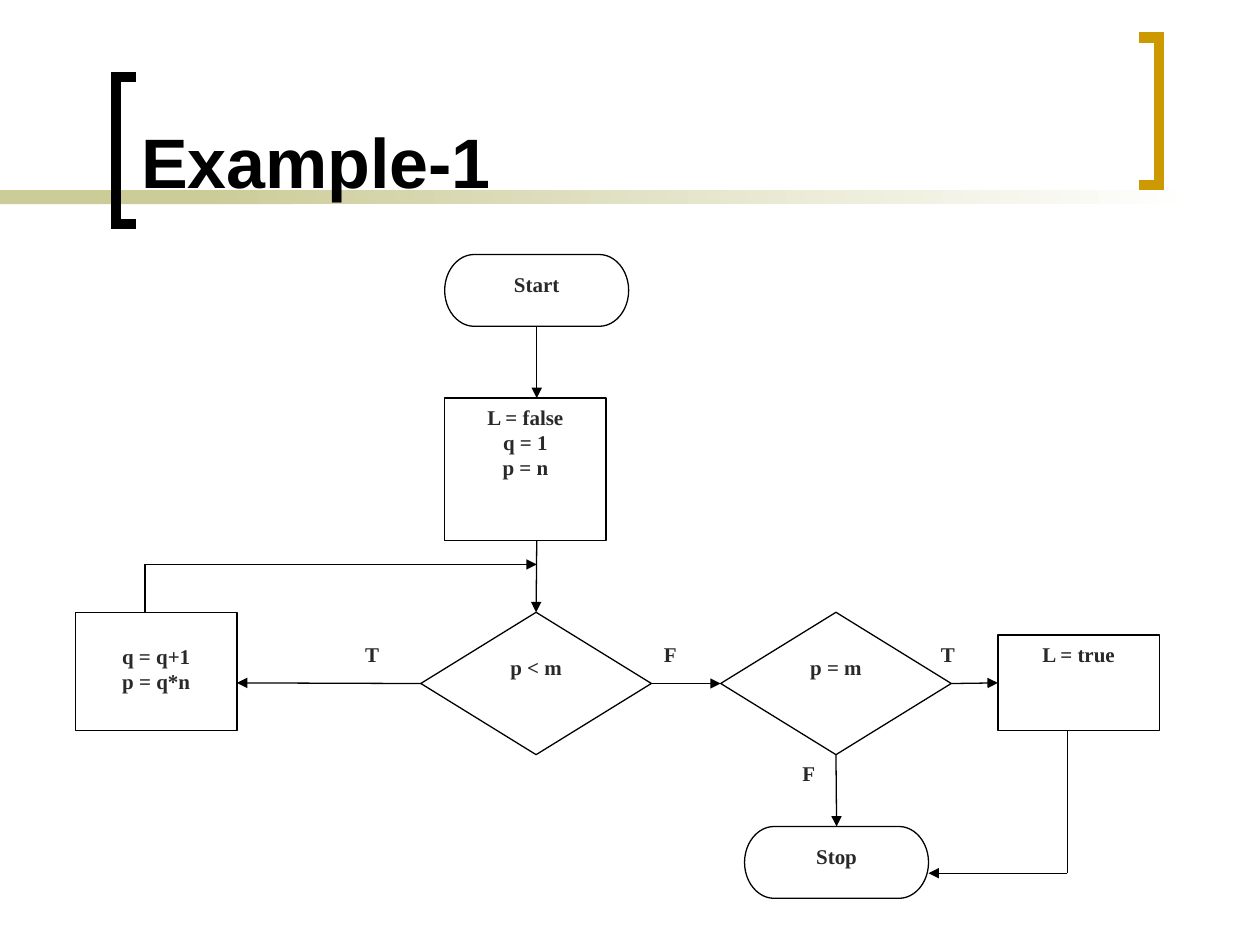
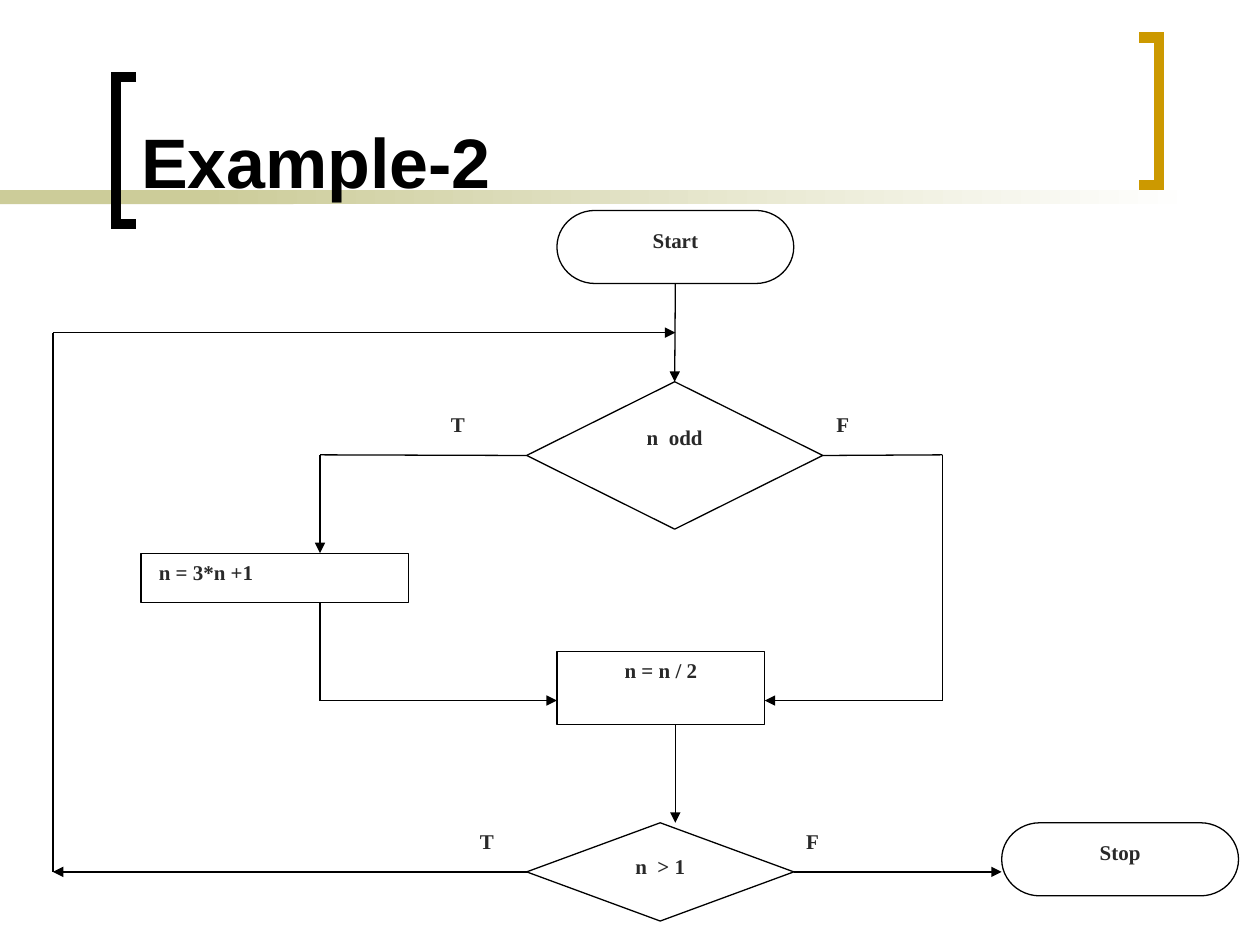
"""Build two flowchart slides that share a bracketed title design."""
from dataclasses import dataclass
from itertools import pairwise
from typing import Any

from lxml import etree
from pptx import Presentation
from pptx import util as u
from pptx.dml.color import RGBColor
from pptx.enum import shapes as kinds
from pptx.enum import text as t
from pptx.oxml.ns import qn

BLACK, WHITE, INK = "000000", "FFFFFF", "292929"
SAND, GOLD = "CCCC99", "CC9900"
TITLE_FONT = {"name": "Arial", "size": u.Pt(40), "bold": True}
BODY_FONT = {"name": "Times New Roman", "size": u.Pt(12), "bold": True}
TERMINATOR = kinds.MSO_SHAPE.FLOWCHART_TERMINATOR
PROCESS = kinds.MSO_SHAPE.FLOWCHART_PROCESS
DECISION = kinds.MSO_SHAPE.FLOWCHART_DECISION
CENTER, LEFT = t.PP_ALIGN.CENTER, t.PP_ALIGN.LEFT
JOIN_TOLERANCE = u.Inches(0.02)
Point = tuple[float, float]
Box = tuple[float, float, float, float]


@dataclass(frozen=True)
class Node:
    """A flowchart symbol with its text."""
    kind: Any
    box: Box
    text: str
    align: Any = CENTER
    left_inset: float = 0.1
    top_inset: float = 0.05


@dataclass(frozen=True)
class Label:
    """A branch label beside a decision."""
    box: Box
    text: str


@dataclass(frozen=True)
class Route:
    """A path of straight segments, with an arrowhead at its end."""
    points: tuple[Point, ...]
    arrow: bool = True


@dataclass(frozen=True)
class Flowchart:
    """All the content of one slide."""
    title: str
    nodes: tuple[Node, ...]
    labels: tuple[Label, ...]
    routes: tuple[Route, ...]


CHARTS = (
    Flowchart(
        "Example-1",
        (
            Node(TERMINATOR, (3.53, 2.02, 1.46, 0.57), "Start"),
            Node(PROCESS, (3.53, 3.16, 1.28, 1.13), "L = false\nq = 1\np = n"),
            Node(DECISION, (3.34, 4.86, 1.83, 1.13), "p < m"),
            Node(PROCESS, (0.6, 4.86, 1.28, 0.94), "q = q+1\np = q*n", top_inset=0.25),
            Node(DECISION, (5.72, 4.86, 1.83, 1.13), "p = m"),
            Node(PROCESS, (7.92, 5.04, 1.28, 0.76), "L = true"),
            Node(TERMINATOR, (5.91, 6.56, 1.46, 0.57), "Stop"),
        ),
        (
            Label((2.8, 5.04, 0.37, 0.57), "T"),
            Label((5.17, 5.04, 0.55, 0.38), "F"),
            Label((6.27, 5.99, 0.37, 0.57), "F"),
            Label((7.37, 5.04, 0.37, 0.57), "T"),
        ),
        (
            Route(((4.26, 2.59), (4.26, 3.16))),
            Route(((4.26, 4.29), (4.26, 4.86))),
            Route(((3.34, 5.42), (1.88, 5.42))),
            Route(((1.15, 4.86), (1.15, 4.48), (4.26, 4.48))),
            Route(((5.17, 5.42), (5.72, 5.42))),
            Route(((6.64, 5.99), (6.64, 6.56))),
            Route(((7.55, 5.42), (7.92, 5.42))),
            Route(((8.47, 5.8), (8.47, 6.93), (7.37, 6.93))),
        ),
    ),
    Flowchart(
        "Example-2",
        (
            Node(TERMINATOR, (4.42, 1.67, 1.88, 0.58), "Start"),
            Node(DECISION, (4.18, 3.03, 2.35, 1.17), "n  odd"),
            Node(PROCESS, (1.12, 4.39, 2.12, 0.39), "n = 3*n +1", LEFT, 0.14),
            Node(PROCESS, (4.42, 5.17, 1.65, 0.58), "n = n / 2"),
            Node(DECISION, (4.18, 6.53, 2.12, 0.78), "n  > 1"),
            Node(TERMINATOR, (7.95, 6.53, 1.88, 0.58), "Stop"),
        ),
        (
            Label((3.48, 3.22, 0.47, 0.58), "T"),
            Label((6.54, 3.22, 0.71, 0.39), "F"),
            Label((3.71, 6.53, 0.71, 0.39), "T"),
            Label((6.3, 6.53, 0.71, 0.39), "F"),
        ),
        (
            Route(((5.36, 2.25), (5.36, 3.03))),
            Route(((4.18, 3.61), (2.54, 3.61), (2.54, 4.39))),
            Route(((2.54, 4.78), (2.54, 5.56), (4.42, 5.56))),
            Route(((6.53, 3.61), (7.48, 3.61), (7.48, 5.56), (6.07, 5.56))),
            Route(((5.36, 5.75), (5.36, 6.53))),
            Route(((6.3, 6.92), (7.95, 6.92))),
            Route(((4.18, 6.92), (0.42, 6.92))),
            Route(((0.42, 6.92), (0.42, 2.64), (5.36, 2.64))),
        ),
    ),
)


def color(value: str) -> RGBColor:
    """Turn a hex string into a colour."""
    return RGBColor.from_string(value)


def inches(values: tuple[float, ...]) -> list[u.Length]:
    """Turn numbers into lengths."""
    return [u.Inches(value) for value in values]


def set_all(target: Any, values: dict[str, Any]) -> None:
    """Set every named attribute on the target."""
    for name, value in values.items():
        setattr(target, name, value)


def set_line(shape: Any, value: str, width: float) -> None:
    """Give a shape or connector a solid line."""
    shape.line.color.rgb = color(value)
    shape.line.width = u.Pt(width)


def write(shape: Any, content: str, font: dict[str, Any], ink: str, align: Any = LEFT,
          anchor: Any = t.MSO_ANCHOR.TOP, left: float = 0.1, top: float = 0.05) -> None:
    """Fill a shape with formatted paragraphs."""
    frame = shape.text_frame
    frame.text = content
    set_all(frame, {
        "word_wrap": True, "auto_size": t.MSO_AUTO_SIZE.NONE, "vertical_anchor": anchor,
        "margin_left": u.Inches(left), "margin_top": u.Inches(top),
        "margin_right": u.Inches(0.1), "margin_bottom": u.Inches(0.05),
    })
    for paragraph in frame.paragraphs:
        paragraph.alignment = align
        set_all(paragraph.font, font)
        paragraph.font.color.rgb = color(ink)


def add_band(slide: Any, box: Box, fades: bool) -> None:
    """Draw one part of the band under the title."""
    band = slide.shapes.add_shape(kinds.MSO_SHAPE.RECTANGLE, *inches(box))
    band.shadow.inherit = False
    band.line.fill.background()
    if not fades:
        band.fill.solid()
        band.fill.fore_color.rgb = color(SAND)
        return
    band.fill.gradient()
    band.fill.gradient_angle = 0
    for stop, value, position in zip(band.fill.gradient_stops, (SAND, WHITE), (0, 1)):
        stop.color.rgb = color(value)
        stop.position = position


def add_bracket(slide: Any, open_x: float, spine_x: float, top: float, value: str) -> None:
    """Draw a square bracket from its open side and its spine."""
    bottom = top + 1.17
    corners = [(open_x, top), (spine_x, top), (spine_x, bottom), (open_x, bottom)]
    start, *rest = [tuple(inches(corner)) for corner in corners]
    builder = slide.shapes.build_freeform(*start)
    builder.add_line_segments(rest, close=False)
    bracket = builder.convert_to_shape()
    bracket.shadow.inherit = False
    bracket.fill.background()
    set_line(bracket, value, 6)
    etree.SubElement(bracket.line._get_or_add_ln(), qn("a:miter"), lim="800000")


def add_frame(slide: Any, heading: str) -> None:
    """Draw the shared bands and brackets with the title over them."""
    add_band(slide, (0, 1.51, 2.33, 0.11), False)
    add_band(slide, (1.58, 1.51, 7.92, 0.11), True)
    add_bracket(slide, 1.08, 0.92, 0.61, BLACK)
    add_bracket(slide, 9.04, 9.2, 0.3, GOLD)
    title = slide.shapes.title
    title.element.getparent().append(title.element)
    set_all(title, dict(zip(("left", "top", "width", "height"),
                            inches((1.02, 0.11, 7.83, 1.55)))))
    write(title, heading, TITLE_FONT, BLACK, anchor=t.MSO_ANCHOR.BOTTOM)


def add_node(slide: Any, node: Node) -> Any:
    """Draw a flowchart symbol."""
    shape = slide.shapes.add_shape(node.kind, *inches(node.box))
    shape.shadow.inherit = False
    shape.fill.solid()
    shape.fill.fore_color.rgb = color(WHITE)
    set_line(shape, BLACK, 0.75)
    write(shape, node.text, BODY_FONT, INK, node.align,
          left=node.left_inset, top=node.top_inset)
    return shape


def find_site(shapes: list[Any], x: int, y: int) -> tuple[Any, int] | None:
    """Find the shape and side whose middle is at a point."""
    for shape in shapes:
        middle_x, middle_y = shape.left + shape.width // 2, shape.top + shape.height // 2
        sites = ((middle_x, shape.top), (shape.left, middle_y),
                 (middle_x, shape.top + shape.height), (shape.left + shape.width, middle_y))
        for side, (site_x, site_y) in enumerate(sites):
            if max(abs(site_x - x), abs(site_y - y)) <= JOIN_TOLERANCE:
                return shape, side
    return None


def add_route(slide: Any, route: Route, shapes: list[Any]) -> None:
    """Draw the segments of a route and join them to symbols."""
    for start, end in pairwise(route.points):
        ends = inches(start + end)
        line = slide.shapes.add_connector(kinds.MSO_CONNECTOR.STRAIGHT, *ends)
        set_line(line, BLACK, 0.75)
        if route.arrow and end == route.points[-1]:
            etree.SubElement(line.line._get_or_add_ln(), qn("a:tailEnd"), type="triangle")
        etree.SubElement(line.element.spPr, qn("a:effectLst"))
        for connect, point in ((line.begin_connect, ends[:2]), (line.end_connect, ends[2:])):
            site = find_site(shapes, *point)
            if site:
                connect(*site)


def add_flowchart(presentation: Any, chart: Flowchart) -> None:
    """Add one slide with its flowchart."""
    slide = presentation.slides.add_slide(presentation.slide_layouts[5])
    add_frame(slide, chart.title)
    shapes = [add_node(slide, node) for node in chart.nodes]
    for route in chart.routes:
        add_route(slide, route, shapes)
    for label in chart.labels:
        write(slide.shapes.add_textbox(*inches(label.box)), label.text, BODY_FONT, INK)


def main() -> None:
    """Build and save the presentation."""
    presentation = Presentation()
    presentation.slide_width, presentation.slide_height = inches((10, 7.5))
    for chart in CHARTS:
        add_flowchart(presentation, chart)
    presentation.save("out.pptx")


if __name__ == "__main__":
    main()
